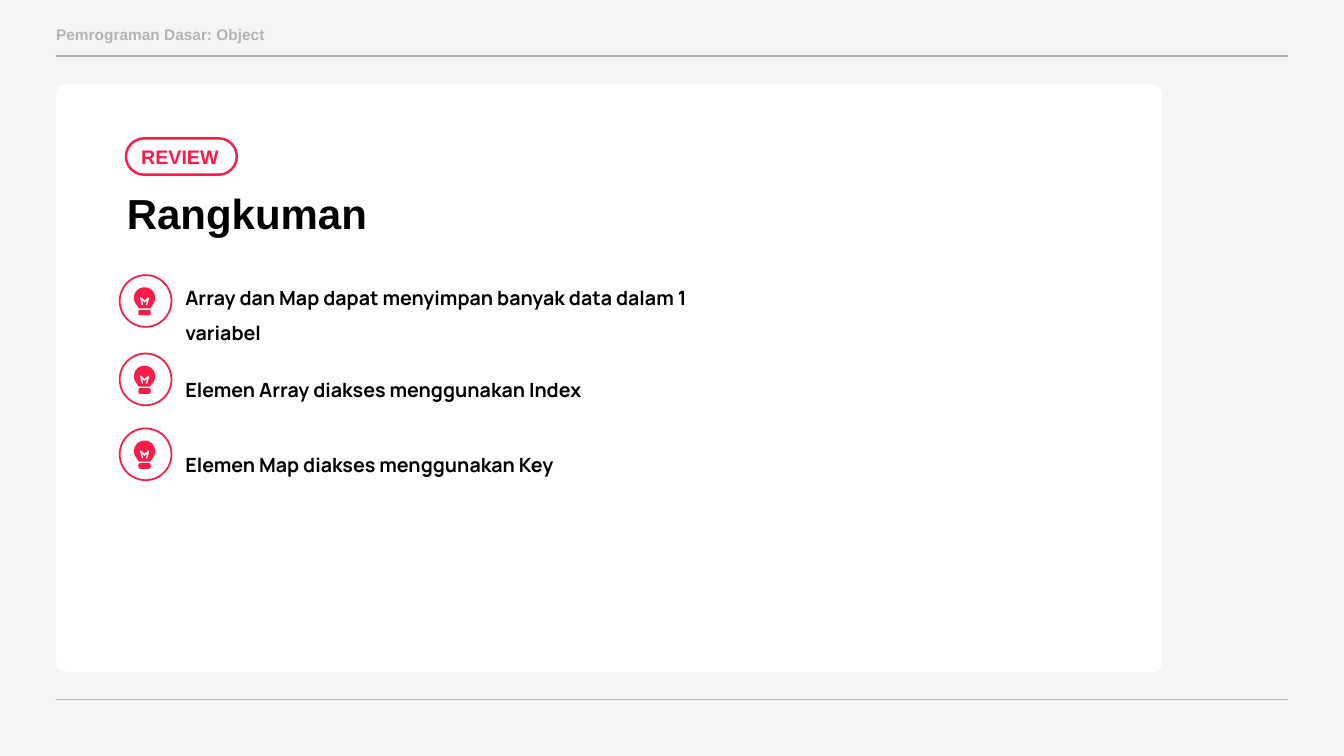
import math

import pptx
import pptx.dml.color
import pptx.enum.shapes
import pptx.enum.text
import pptx.util
from lxml import etree

RGBColor = pptx.dml.color.RGBColor
Shape = pptx.enum.shapes.MSO_SHAPE

PAPER = RGBColor(0xF5, 0xF5, 0xF5)
WHITE = RGBColor(0xFF, 0xFF, 0xFF)
BLACK = RGBColor(0x00, 0x00, 0x00)
GREY = RGBColor(0xB3, 0xB3, 0xB3)
RED = RGBColor(0xFC, 0x1C, 0x49)

COLUMNS, ROWS = 96, 54
CELL = pptx.util.Inches(7.5) / ROWS

# Light bulb outlines, in hundredths of its ring's width
DOME_CENTRE, DOME_RADIUS = (48, 44), 20.5
DOME = [(DOME_CENTRE[0] + DOME_RADIUS * math.cos(math.radians(angle)),
         DOME_CENTRE[1] + DOME_RADIUS * math.sin(math.radians(angle)))
        for angle in range(140, 401, 10)]
BULB = DOME + [(61, 61), (59, 64), (37, 64), (35, 61)]
FILAMENT = [(39, 43), (41, 43), (48, 49), (55, 43), (57, 45), (53, 58), (51, 58),
            (52, 49), (48, 53), (44, 49), (45, 58), (43, 58)]


def cells(*counts):
    return [round(count * CELL) for count in counts]


class SlideBuilder:
    def __init__(self, deck):
        self.heading_font = "Arial"
        self.body_font = "Manrope"
        self.page = deck.slides.add_slide(deck.slide_layouts[6])
        self.page.background.fill.solid()
        self.page.background.fill.fore_color.rgb = PAPER

    def paint(self, shape, fill, outline=None, weight=1):
        shape.shadow.inherit = False
        shape.fill.solid()
        shape.fill.fore_color.rgb = fill
        if outline is None:
            shape.line.fill.background()
        else:
            shape.line.color.rgb = outline
            shape.line.width = pptx.util.Pt(weight)
        return shape

    def label(self, shape, text, size, color, font, spacing=None):
        shape.text_frame.word_wrap = True
        para = shape.text_frame.paragraphs[0]
        para.text = text
        para.alignment = pptx.enum.text.PP_ALIGN.LEFT
        para.line_spacing = spacing
        para.font.name = font
        para.font.size = pptx.util.Pt(size)
        para.font.bold = True
        para.font.color.rgb = color

    def text(self, area, text, size, color, font, spacing=None):
        box = self.page.shapes.add_textbox(*cells(*area))
        self.label(box, text, size, color, font, spacing)

    def rounded(self, area, corner, fill, outline=None, weight=1):
        shape = self.page.shapes.add_shape(Shape.ROUNDED_RECTANGLE, *cells(*area))
        shape.adjustments[0] = corner
        return self.paint(shape, fill, outline, weight)

    def rule(self, row):
        line = self.page.shapes.add_connector(
            pptx.enum.shapes.MSO_CONNECTOR.STRAIGHT, *cells(4, row, COLUMNS - 4, row))
        line.line.color.rgb = GREY
        line.line.width = pptx.util.Pt(0.75)
        etree.SubElement(line._element.spPr, pptx.oxml.ns.qn("a:effectLst"))

    def bulb(self, column, row, width):
        icon = self.page.shapes.add_group_shape().shapes
        unit = width / 100

        def outline(points, fill):
            places = [cells(column + x * unit, row + y * unit) for x, y in points]
            builder = icon.build_freeform(*places[0])
            builder.add_line_segments(places[1:], close=True)
            self.paint(builder.convert_to_shape(), fill)

        ring = icon.add_shape(Shape.OVAL, *cells(column, row, width, width))
        self.paint(ring, WHITE, RED, 1.25)
        outline(BULB, RED)
        base = icon.add_shape(Shape.ROUNDED_RECTANGLE, *cells(
            column + 36 * unit, row + 67 * unit, 24 * unit, 11 * unit))
        base.adjustments[0] = 0.35
        self.paint(base, RED)
        outline(FILAMENT, WHITE)


def main():
    deck = pptx.Presentation()
    deck.slide_width, deck.slide_height = cells(COLUMNS, ROWS)
    slide = SlideBuilder(deck)

    # Frame: rules and card
    slide.rule(4)
    slide.rule(50)
    slide.rounded((4, 6, 79, 42), 0.016, WHITE)

    # Header, title and badge
    slide.text((3.3, 1.45, 42, 2.1), "Pemrograman Dasar: Object", 11, GREY,
               slide.heading_font)
    slide.text((8.35, 12.3, 30.2, 4.8), "Rangkuman", 30, BLACK, slide.heading_font, 1.21)
    badge = slide.rounded((9, 9.88, 7.92, 2.6), 0.5, WHITE, RED, 1.75)
    badge.text_frame.vertical_anchor = pptx.enum.text.MSO_ANCHOR.MIDDLE
    slide.label(badge, "REVIEW", 14, RED, slide.heading_font)

    # Summary points: icon row, text row, text height, wording
    points = [
        (19.65, 19.22, 6.1, "Array dan Map dapat menyimpan banyak data dalam 1 variabel"),
        (25.25, 25.8, 3.4, "Elemen Array diakses menggunakan Index"),
        (30.6, 31.18, 3.1, "Elemen Map diakses menggunakan Key"),
    ]
    for icon_row, text_row, height, wording in points:
        slide.bulb(8.55, icon_row, 3.7)
        slide.text((12.53, text_row, 38.3, height), wording, 14, BLACK,
                   slide.body_font, 1.49)

    deck.save("out.pptx")


if __name__ == "__main__":
    main()
